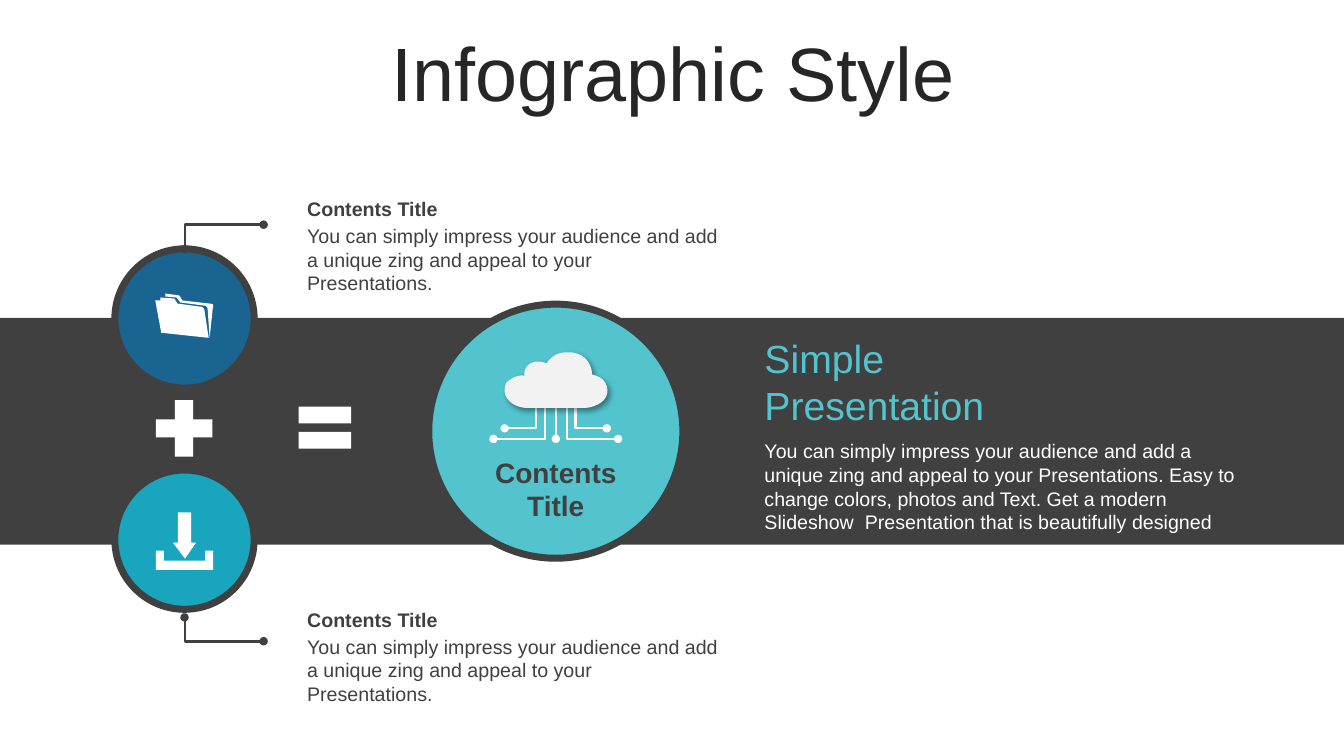
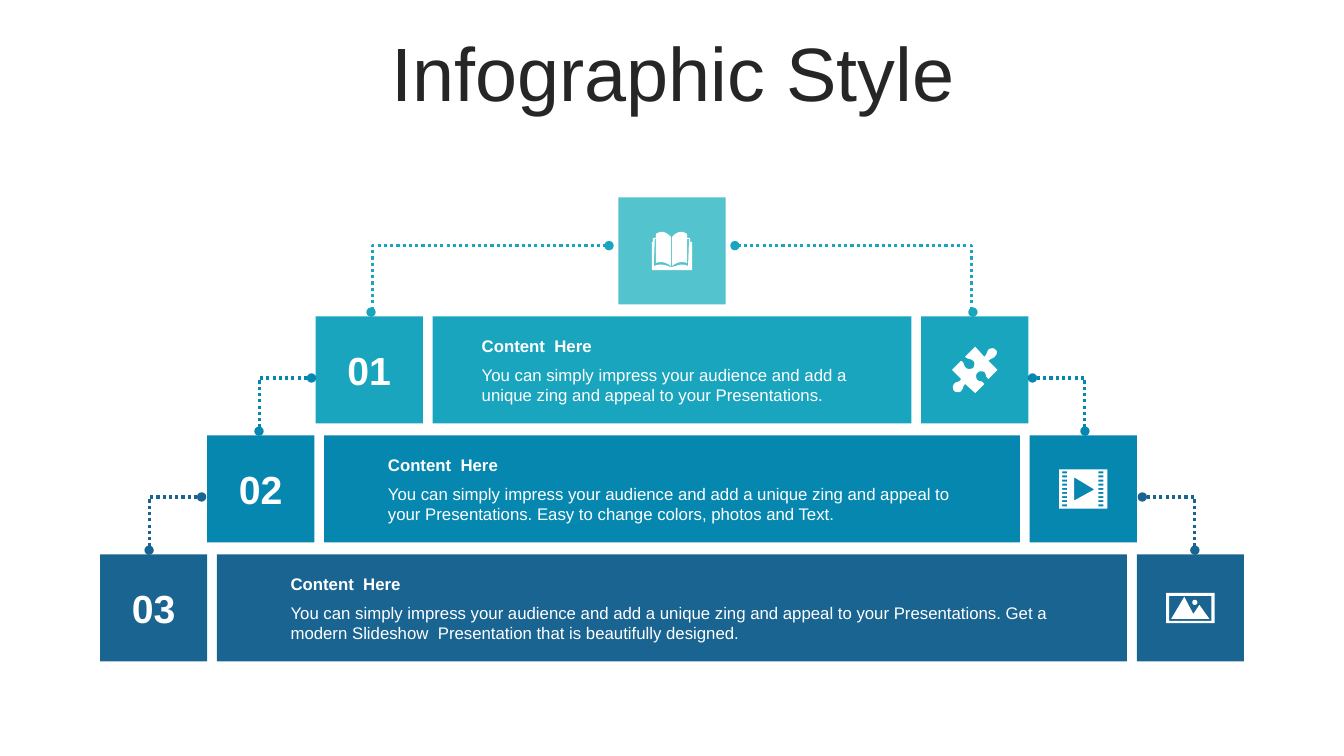
import dataclasses

import lxml.etree
import pptx
import pptx.dml.color
import pptx.enum.dml
import pptx.enum.shapes
import pptx.enum.text
import pptx.oxml.ns
import pptx.util

Pt = pptx.util.Pt
qn = pptx.oxml.ns.qn
SHAPE = pptx.enum.shapes.MSO_SHAPE
ALIGN = pptx.enum.text.PP_ALIGN
ANCHOR = pptx.enum.text.MSO_ANCHOR


@dataclasses.dataclass(frozen=True)
class Style:
    size: float
    color: str
    bold: bool = False


@dataclasses.dataclass(frozen=True)
class Theme:
    font: str = "Arial"
    white: str = "FFFFFF"
    cloud: str = "F2F2F2"
    dark: str = "404040"
    aqua: str = "53C3CD"
    teal: str = "19A5BE"
    blue: str = "0587AF"
    navy: str = "196491"
    title: Style = Style(54, "262626")
    lead: Style = Style(28, "53C3CD")
    light: Style = Style(14, "FFFFFF")
    head: Style = Style(14, "404040", True)
    body: Style = Style(14, "404040")
    label: Style = Style(20, "404040", True)
    number: Style = Style(28, "FFFFFF", True)
    topic: Style = Style(12, "FFFFFF", True)
    note: Style = Style(12, "FFFFFF")


THEME = Theme()
MID = 480
TILE = 76.5
IMPRESS = "You can simply impress your audience and add a unique zing and appeal to your Presentations."


@dataclasses.dataclass(frozen=True)
class Icon:
    """Loops on a grid: a pair is a corner, six numbers are a curve."""
    wide: float
    high: float
    loops: tuple


def block(x, y, wide, high):
    return (x, y), (x + wide, y), (x + wide, y + high), (x, y + high)


FOLDER = Icon(58, 44, (
    ((5, 4), (19, 5), (22, 10), (44, 13), (48, 13, 49, 16, 49, 18),
     (53, 44), (6, 39), (0, 7), (5, 7)),
    ((10, 0), (24, 2), (27, 7), (54, 10), (58, 10, 58, 12, 57, 15), (54, 44),
     (52, 16), (52, 14, 51, 12, 48, 12), (25, 9), (21, 4), (10, 3))))
LOAD = Icon(57, 57, (
    ((0, 38), (8, 38), (8, 48), (49, 48), (49, 38), (57, 38), (57, 57), (0, 57)),
    ((22, 0), (35, 0), (35, 30), (40, 30), (29, 46), (17, 30), (22, 30))))
CLOUD = Icon(102, 55, (
    ((64, 0), (67, 0), (83, 2, 87, 15, 87, 22), (102, 25, 103, 36, 102, 41),
     (100, 51, 86, 55, 81, 55), (20, 55), (12, 54, 7, 51, 3, 46),
     (-1, 41, 0, 34, 2, 30), (4, 28, 11, 22, 20, 23), (19, 18, 22, 13, 26, 11),
     (31, 8, 38, 9, 42, 11), (44, 7, 51, -1, 64, 0)),))
BOOK = Icon(40, 38, (
    ((19, 35), (20, 35), (27, 33, 30, 31, 36, 34), (37, 7), (35, 7), (35, 31),
     (30, 29, 25, 30, 20, 34), (20, 5), (23, 2, 26, 0, 29, 0),
     (31, 0, 33, 1, 35, 2), (35, 6), (38, 6), (38, 10), (40, 10), (40, 38),
     (0, 38), (0, 10), (1, 10), (1, 6), (4, 6), (4, 2), (6, 1, 8, 0, 10, 0),
     (13, 0, 16, 2, 19, 5), (19, 34), (14, 30, 9, 29, 4, 31), (4, 7), (3, 7),
     (2, 34), (9, 31, 13, 33, 19, 35)),))
PUZZLE = Icon(45, 46, (
    ((43, 3), (45, 4, 45, 7, 43, 9), (41, 12, 39, 11, 36, 14), (45, 23), (36, 32),
     (33, 30, 34, 27, 32, 25), (30, 24, 27, 24, 25, 26), (24, 27, 23, 30, 25, 33),
     (28, 35, 29, 33, 32, 37), (23, 46), (13, 37), (10, 40, 12, 40, 9, 44),
     (7, 46, 4, 45, 2, 44), (1, 42, 0, 39, 2, 37), (4, 34, 7, 36, 9, 32), (0, 23),
     (9, 14), (13, 16, 11, 19, 14, 21), (16, 23, 19, 22, 21, 21),
     (22, 19, 23, 16, 21, 14), (17, 11, 16, 13, 13, 10), (23, 0), (32, 10),
     (35, 7, 34, 6, 36, 3), (38, 1, 42, 1, 43, 3)),))
FILM = Icon(48, 39, (
    block(0, 0, 48, 39), ((15, 8), (15, 31), (35, 20)),
    *(block(x, 2 + 4.1 * row, 5, 2) for x in (3, 39) for row in range(9))))
PHOTO = Icon(48, 30, (
    block(0, 0, 48, 30), block(3, 3, 42, 25),
    ((18, 4), (27, 21), (33, 12), (43, 26), (5, 26)),
    ((28, 7), (30, 7, 31, 8, 31, 9.5), (31, 11, 30, 12, 28, 12),
     (27, 12, 26, 11, 26, 9.5), (26, 8, 27, 7, 28, 7))))


def tint(color):
    return pptx.dml.color.RGBColor.from_string(color)


def paint(shape, fill, edge=None, width=0):
    shape.shadow.inherit = False
    shape.fill.solid()
    shape.fill.fore_color.rgb = tint(fill)
    if edge:
        shape.line.color.rgb = tint(edge)
        shape.line.width = Pt(width)
    else:
        shape.line.fill.background()
    return shape


def form(page, kind, x, y, wide, high, fill, edge=None, width=0):
    shape = page.shapes.add_shape(kind, Pt(x), Pt(y), Pt(wide), Pt(high))
    return paint(shape, fill, edge, width)


def disc(page, x, y, size, fill):
    """Ringed circle centred on x, y."""
    form(page, SHAPE.OVAL, x - size / 2, y - size / 2, size, size, fill, THEME.dark, 5)


def flat(loop, steps=8):
    """Turn a loop's curves into short straight steps."""
    dots = []
    for item in loop:
        if len(item) == 2:
            dots.append(item)
            continue
        a, b, c, d = dots[-1], item[:2], item[2:4], item[4:]
        for step in range(1, steps + 1):
            t = step / steps
            u = 1 - t
            dots.append(tuple(
                u**3 * a[i] + 3 * u * u * t * b[i] + 3 * u * t * t * c[i] + t**3 * d[i]
                for i in (0, 1)))
    return dots


def draw(page, icon, x, y, fill=THEME.white, unit=0.72):
    """Draw an icon centred on x, y; unit is the length of one grid step."""
    pen = None
    for loop in icon.loops:
        dots = [(Pt(x + (a - icon.wide / 2) * unit), Pt(y + (b - icon.high / 2) * unit))
                for a, b in flat(loop)]
        if pen is None:
            pen = page.shapes.build_freeform(*dots[0])
        else:
            pen.move_to(*dots[0])
        pen.add_line_segments(dots[1:], close=True)
    return paint(pen.convert_to_shape(), fill)


def write(para, words, style):
    run = para.add_run()
    run.text = words
    font = run.font
    font.name, font.size, font.bold = THEME.font, Pt(style.size), style.bold
    font.color.rgb = tint(style.color)


def text(page, x, y, wide, high, lines, align=ALIGN.LEFT, anchor=ANCHOR.TOP):
    """Add a text box; each line is words, style and space before."""
    frame = page.shapes.add_textbox(Pt(x), Pt(y), Pt(wide), Pt(high)).text_frame
    frame.word_wrap = True
    frame.vertical_anchor = anchor
    for row, (words, style, space) in enumerate(lines):
        para = frame.add_paragraph() if row else frame.paragraphs[0]
        para.alignment = align
        para.space_before = Pt(space)
        write(para, words, style)


def link(page, start, end, color, width, ends, dots=False, bent=True):
    """Join two points, upright first; ends lists the tips that get a dot."""
    kinds = pptx.enum.shapes.MSO_CONNECTOR
    wire = page.shapes.add_connector(
        kinds.ELBOW if bent else kinds.STRAIGHT, *map(Pt, start + end))
    wire.line.color.rgb = tint(color)
    wire.line.width = Pt(width)
    if dots:
        wire.line.dash_style = pptx.enum.dml.MSO_LINE.ROUND_DOT
    props = wire.element.spPr
    for tip in ends:
        lxml.etree.SubElement(props.find(qn("a:ln")), qn("a:" + tip)).set("type", "oval")
    if bent:
        geom = props.find(qn("a:prstGeom"))
        rules = geom.find(qn("a:avLst"))
        if rules is None:
            rules = lxml.etree.SubElement(geom, qn("a:avLst"))
        bend = lxml.etree.SubElement(rules, qn("a:gd"))
        bend.set("name", "adj1")
        bend.set("fmla", "val 700")
    lxml.etree.SubElement(props, qn("a:effectLst"))


def shade(shape):
    """Soft shadow to the lower right."""
    cast = lxml.etree.SubElement(
        shape.element.spPr.find(qn("a:effectLst")), qn("a:outerShdw"),
        blurRad=str(Pt(4)), dist=str(Pt(3)), dir="2700000", algn="tl", rotWithShape="0")
    color = lxml.etree.SubElement(cast, qn("a:srgbClr"), val="000000")
    lxml.etree.SubElement(color, qn("a:alpha"), val="40000")


def start(deck):
    """Add a slide with the shared title."""
    page = deck.slides.add_slide(deck.slide_layouts[5])
    title = page.shapes.title
    title.left, title.top, title.width, title.height = map(Pt, (25, 26.5, 911.5, 57))
    frame = title.text_frame
    frame.auto_size = pptx.enum.text.MSO_AUTO_SIZE.NONE
    frame.vertical_anchor = ANCHOR.MIDDLE
    para = frame.paragraphs[0]
    para.alignment = ALIGN.CENTER
    para.line_spacing = 0.9
    para.space_before = Pt(10)
    write(para, "Infographic Style", THEME.title)
    return page


def node(page, x, y, fill, icon, lift, root, arm, top):
    """Circle with a lead to its caption; root, arm and top are offsets from y."""
    disc(page, x, y, 99.5, fill)
    draw(page, icon, x, y + lift)
    link(page, (x, y + root), (x + 56.5, y + arm), THEME.dark, 2, ("headEnd", "tailEnd"))
    text(page, x + 80.5, y + top, 309, 66,
         [("Contents Title", THEME.head, 0), (IMPRESS, THEME.body, 2.6)])


def hub(page, x, y):
    """Large circle with the cloud and its wires."""
    disc(page, x, y, 181.5, THEME.aqua)
    for side in (-1, 1):
        for near, far, top, end in ((14, 36.5, -21, -2), (7.5, 44.5, -24, 5.5)):
            link(page, (x + side * near, y + top), (x + side * far, y + end),
                 THEME.white, 1.5, ("tailEnd",))
    link(page, (x, y - 29), (x, y + 5.5), THEME.white, 1.5, ("tailEnd",), bent=False)
    shade(draw(page, CLOUD, x, y - 36.5, THEME.cloud))
    text(page, x - 90.5, y + 13.5, 181, 55,
         [(word, THEME.label, 0) for word in ("Contents", "Title")], ALIGN.CENTER)


def sums(deck):
    page = start(deck)
    form(page, SHAPE.RECTANGLE, 0, 227, 960, 162, THEME.dark)
    node(page, 131.8, 227.5, THEME.navy, FOLDER, -2, -49.5, -67, -90.5)
    node(page, 131.8, 385.5, THEME.teal, LOAD, 1, 55.5, 72.5, 45)
    form(page, SHAPE.MATH_PLUS, 104, 278.5, 55, 55, THEME.white)
    form(page, SHAPE.MATH_EQUAL, 206.5, 280, 51, 51, THEME.white)
    hub(page, 397, 308)
    text(page, 539, 235.5, 360, 147, [
        ("Simple", THEME.lead, 0), ("Presentation", THEME.lead, 0),
        (IMPRESS + " Easy to change colors, photos and Text. Get a modern "
         "Slideshow  Presentation that is beautifully designed", THEME.light, 7.6)])


def tile(page, x, y, fill, icon=None):
    form(page, SHAPE.RECTANGLE, x, y, TILE, TILE, fill)
    if icon:
        draw(page, icon, x + TILE / 2, y + TILE / 2)


def tier(page, y, name, fill, icon, half, span, words, outer, inner, rise):
    """Step of the pyramid, mirrored about the middle; half and span are half widths."""
    gap = 7
    tile(page, MID - half, y, fill)
    text(page, MID - half + 13, y + 18, 50.5, 41, [(name, THEME.number, 0)],
         ALIGN.CENTER, ANCHOR.MIDDLE)
    side = half - TILE - gap
    form(page, SHAPE.RECTANGLE, MID - side, y, 2 * side, TILE, fill)
    text(page, MID - span, y + 10, 2 * span, 56,
         [("Content  Here", THEME.topic, 0), (words, THEME.note, 6.4)])
    tile(page, MID + half - TILE, y, fill, icon)
    for way in (-1, 1):
        link(page, (MID + way * outer, y - 3), (MID + way * inner, y - rise),
             fill, 2.25, ("headEnd", "tailEnd"), dots=True)


def steps(deck):
    page = start(deck)
    tile(page, MID - TILE / 2, 141, THEME.aqua, BOOK)
    rows = (
        ("01", THEME.teal, PUZZLE, 254.5, 143, IMPRESS, 215, 45, 50.5),
        ("02", THEME.blue, FILM, 332, 210,
         IMPRESS + " Easy to change colors, photos and Text.", 295, 257.5, 41),
        ("03", THEME.navy, PHOTO, 408.5, 279.5,
         IMPRESS + " Get a modern Slideshow  Presentation that is beautifully designed.",
         373.5, 336, 41))
    for step, row in enumerate(rows):
        tier(page, 226 + 85 * step, *row)


def main():
    deck = pptx.Presentation()
    deck.slide_width, deck.slide_height = Pt(960), Pt(540)
    sums(deck)
    steps(deck)
    deck.save("out.pptx")


if __name__ == "__main__":
    main()
